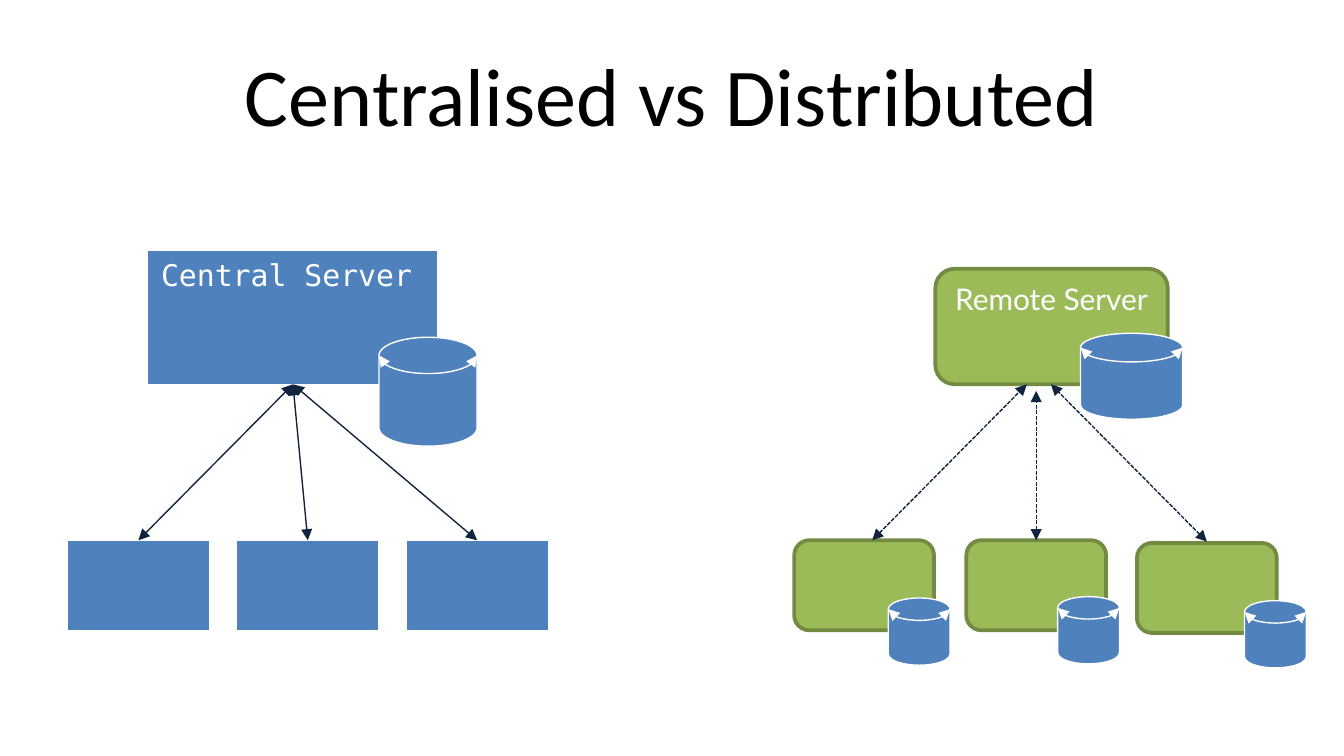
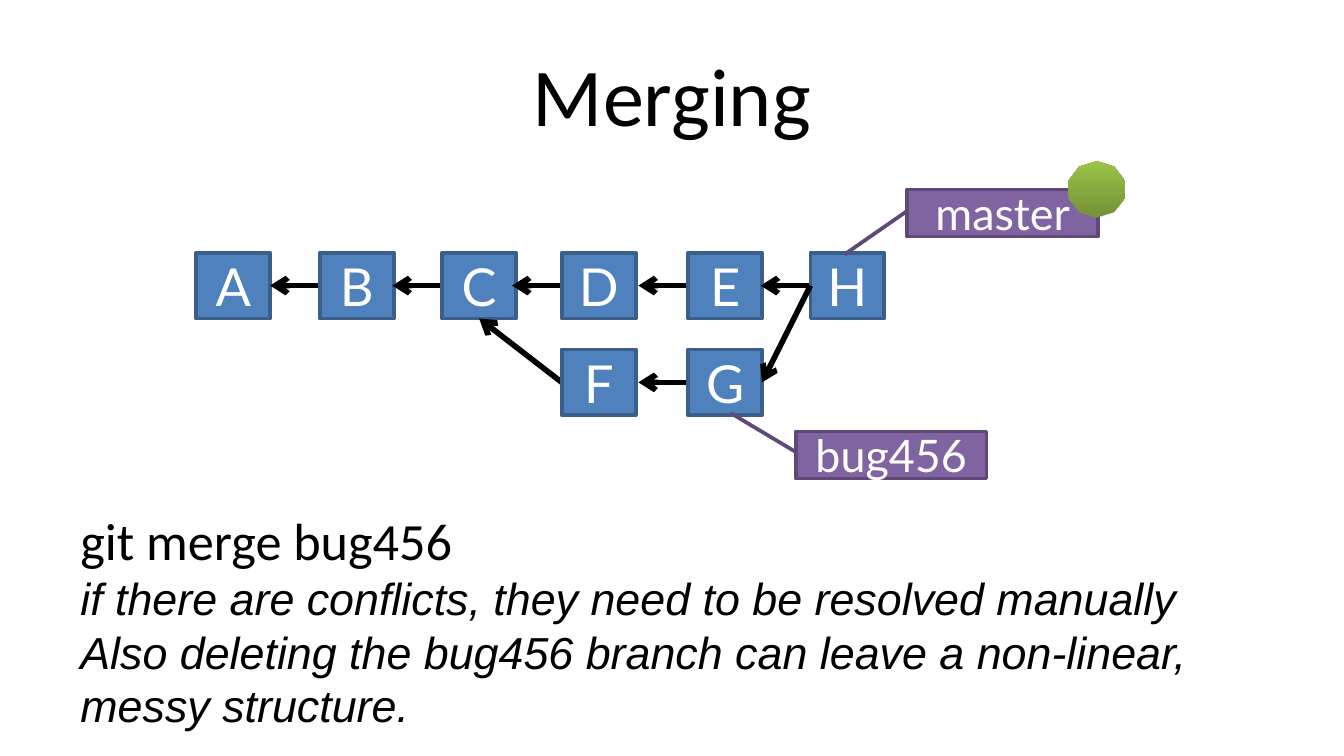
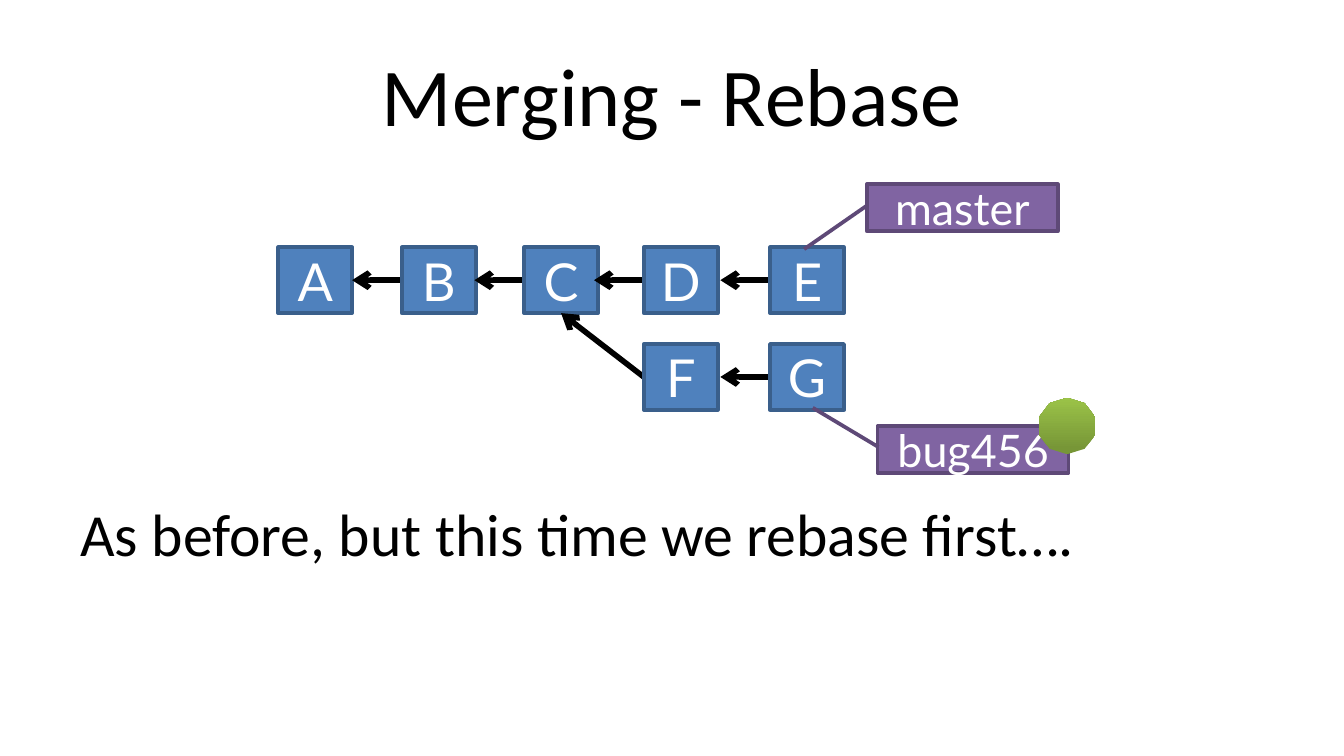
"""Build three slides on centralised and distributed version control."""
from lxml import etree
from pptx import Presentation
from pptx import util as u
from pptx.dml.color import RGBColor
from pptx.enum import dml, shapes, text
from pptx.oxml.ns import qn

WHITE = RGBColor(0xFF, 0xFF, 0xFF)
BLACK = RGBColor(0x00, 0x00, 0x00)
BLUE = RGBColor(0x4F, 0x81, 0xBD)
DARK_BLUE = RGBColor(0x3A, 0x5F, 0x8B)
NAVY = RGBColor(0x10, 0x24, 0x3E)
GREEN = RGBColor(0x9B, 0xBB, 0x59)
DARK_GREEN = RGBColor(0x72, 0x8A, 0x41)
PURPLE = RGBColor(0x80, 0x64, 0xA2)
DARK_PURPLE = RGBColor(0x5E, 0x49, 0x77)
STAR_LOW = RGBColor(0x77, 0x96, 0x37)
STAR_HIGH = RGBColor(0x9B, 0xC3, 0x48)

KIND = shapes.MSO_SHAPE
LEFT, CENTER = text.PP_ALIGN.LEFT, text.PP_ALIGN.CENTER
TOP, MIDDLE = text.MSO_ANCHOR.TOP, text.MSO_ANCHOR.MIDDLE

STYLES = {
    "title": {"size": u.Pt(44), "name": "Calibri"},
    "command": {"size": u.Pt(28), "name": "Calibri"},
    "remark": {"size": u.Pt(24), "name": "Arial", "italic": True},
    "body": {"size": u.Pt(32), "name": "Calibri"},
    "central": {"size": u.Pt(16), "name": "DejaVu Sans Mono"},
    "remote": {"size": u.Pt(16), "name": "Lato"},
    "commit": {"size": u.Pt(28), "name": "Lato"},
    "branch": {"size": u.Pt(24), "name": "Lato"},
}


def draw(page, kind, place, colors=None, width=2, lines=(), align=CENTER, anchor=MIDDLE):
    """Add a filled shape, or a text box when kind is None, with styled lines."""
    place = [u.Inches(length) for length in place]
    if kind is None:
        box = page.shapes.add_textbox(*place)
    else:
        box = page.shapes.add_shape(kind, *place)
        box.shadow.inherit = False
        box.fill.solid()
        box.fill.fore_color.rgb, box.line.color.rgb = colors
        box.line.width = u.Pt(width)
    frame = box.text_frame
    frame.word_wrap, frame.vertical_anchor = True, anchor
    for index, (style, words) in enumerate(lines):
        para = frame.add_paragraph() if index else frame.paragraphs[0]
        para.alignment = align
        span = para.add_run()
        span.text = words
        span.font.color.rgb = BLACK if kind is None else WHITE
        for name, value in STYLES[style].items():
            setattr(span.font, name, value)
    return box


def link(page, start, end, color, width, ends, dash=None):
    """Join two points with a line that carries the given arrowheads."""
    points = [u.Inches(length) for length in (*start, *end)]
    line = page.shapes.add_connector(shapes.MSO_CONNECTOR.STRAIGHT, *points)
    line.line.color.rgb, line.line.width = color, u.Pt(width)
    if dash:
        line.line.dash_style = dash
    outline = line.element.spPr.find(qn("a:ln"))
    for tag, head in ends.items():
        etree.SubElement(outline, qn(tag), type=head)
    etree.SubElement(line.element.spPr, qn("a:effectLst"))


deck = Presentation()
deck.slide_width, deck.slide_height = u.Inches(10), u.Inches(10 * 9 / 16)
pages = []
for heading in ("Centralised vs Distributed", "Merging", "Merging - Rebase"):
    page = deck.slides.add_slide(deck.slide_layouts[6])
    draw(page, None, (0.5, 0.23, 9, 0.94), lines=[("title", heading)])
    pages.append(page)
overview, merging, rebase = pages

BOTH_ENDS = {"a:headEnd": "triangle", "a:tailEnd": "triangle"}
CLIENT_TOP = 4.02
SERVER_BOTTOM = 2.86

draw(overview, KIND.RECTANGLE, (1.1, 1.86, 2.16, 1), (BLUE, WHITE), 0.75,
     [("central", "Central Server")], LEFT, TOP)
for column in range(3):
    left = 0.5 + 1.26 * column
    draw(overview, KIND.RECTANGLE, (left, CLIENT_TOP, 1.06, 0.67), (BLUE, WHITE), 0.75)
    link(overview, (left + 0.53, CLIENT_TOP), (2.18, SERVER_BOTTOM), NAVY, 0.75, BOTH_ENDS)

draw(overview, KIND.ROUNDED_RECTANGLE, (6.96, 2, 1.73, 0.86), (GREEN, DARK_GREEN),
     lines=[("remote", "Remote Server")], anchor=TOP)
for left, top in ((5.91, 4.02), (7.19, 4.02), (8.46, 4.04)):
    draw(overview, KIND.ROUNDED_RECTANGLE, (left, top, 1.04, 0.67), (GREEN, DARK_GREEN))

for place in ((2.82, 2.51, 0.73, 0.81), (8.04, 2.48, 0.76, 0.64),
              (6.61, 4.45, 0.46, 0.5), (7.87, 4.44, 0.46, 0.5), (9.26, 4.47, 0.46, 0.5)):
    disk = draw(overview, KIND.FLOWCHART_MAGNETIC_DISK, place, (BLUE, WHITE), 0.75)
    outline = disk.element.spPr.find(qn("a:ln"))
    for tag, head in BOTH_ENDS.items():
        etree.SubElement(outline, qn(tag), type=head)

for client, server in (((6.49, 4.02), (7.64, 2.86)), ((7.71, 4.02), (7.71, 2.91)),
                       ((8.98, 4.03), (7.82, 2.86))):
    link(overview, client, server, NAVY, 0.75, BOTH_ENDS, dml.MSO_LINE.SQUARE_DOT)

draw(merging, None, (0.5, 3.73, 9, 1.3), align=LEFT, anchor=TOP, lines=[
    ("command", "git merge bug456"),
    ("remark", "if there are conflicts, they need to be resolved manually"),
    ("remark", "Also deleting the bug456 branch can leave a non-linear, messy structure."),
])
draw(rebase, None, (0.5, 3.65, 9, 1.38), align=LEFT, anchor=TOP,
     lines=[("body", "As before, but this time we rebase first….")])

COLUMNS = (0, 0.92, 1.83, 2.72, 3.66, 4.57)
COMMIT_WIDTH, COMMIT_HEIGHT, ROW_STEP, ARROW = 0.55, 0.49, 0.72, 0.37
CALLOUTS = {
    "master": (0.72, -0.47, (0.446, 0.004, 1.383, -0.329)),
    "bug456": (0.8, 0.61, (0.446, 0.004, -0.389, -0.34)),
}
TAIL = {"a:tailEnd": "arrow"}

for page, origin_x, origin_y, trunk, current in (
        (merging, 1.46, 1.88, "ABCDEH", "master"), (rebase, 2.07, 1.84, "ABCDE", "bug456")):
    commits = [(name, column, 0) for column, name in enumerate(trunk)]
    commits += [("F", 3, 1), ("G", 4, 1)]
    spots = {}
    for name, column, row in commits:
        left, top = origin_x + COLUMNS[column], origin_y + ROW_STEP * row
        spots[name] = left, top
        middle = top + COMMIT_HEIGHT / 2
        end = (left - ARROW, middle)
        if name == "F":
            end = (spots["C"][0] + COMMIT_WIDTH / 2, origin_y + COMMIT_HEIGHT)
        if name != "A":
            link(page, (left, middle), end, BLACK, 3, TAIL)
        draw(page, KIND.RECTANGLE, (left, top, COMMIT_WIDTH, COMMIT_HEIGHT),
             (BLUE, DARK_BLUE), lines=[("commit", name)])
    if "H" in spots:
        (left, top), (target_left, target_top) = spots["H"], spots["G"]
        link(page, (left, top + COMMIT_HEIGHT / 2),
             (target_left + COMMIT_WIDTH, target_top + COMMIT_HEIGHT / 2), BLACK, 3, TAIL)

    for branch, tip in (("master", trunk[-1]), ("bug456", "G")):
        shift_x, shift_y, pointer = CALLOUTS[branch]
        left, top = spots[tip][0] + shift_x, spots[tip][1] + shift_y
        callout = draw(page, KIND.LINE_CALLOUT_1, (left, top, 1.42, 0.35),
                       (PURPLE, DARK_PURPLE), lines=[("branch", branch)])
        for index, share in enumerate(pointer):
            callout.adjustments[index] = share
        if branch == current:
            star_place = (left + 1.2, top - 0.21, 0.42, 0.38)

    star = draw(page, KIND.STAR_5_POINT, star_place, (STAR_HIGH, STAR_LOW))
    star.adjustments[0] = 0.5
    star.line.fill.background()
    star.fill.gradient()
    star.fill.gradient_angle = 90
    for stop, color in zip(star.fill.gradient_stops, (STAR_LOW, STAR_HIGH)):
        stop.color.rgb = color

deck.save("out.pptx")
